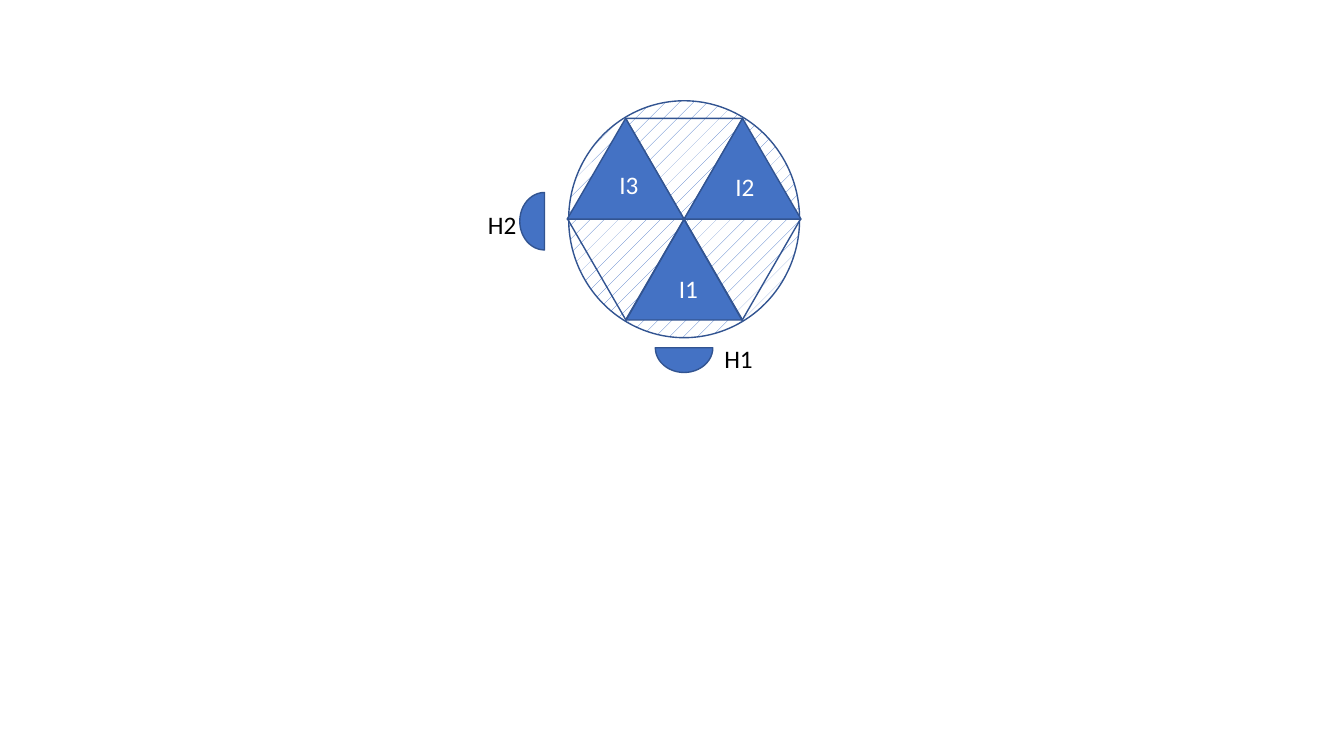
from math import cos, radians, sin

from pptx import Presentation
from pptx.dml.color import RGBColor
from pptx.enum.dml import MSO_PATTERN
from pptx.enum.shapes import MSO_SHAPE
from pptx.enum.text import MSO_AUTO_SIZE
from pptx.util import Inches, Pt

COLORS = {"blue": "4472C4", "outline": "325491", "white": "FFFFFF", "black": "000000"}
SIDE, HEIGHT = 1.16, 1.0
HALF_DISC = (0.57, 0.49)


def color(name):
    return RGBColor.from_string(COLORS[name])


def add_outlined(group, kind, center, size, rotation=0, filled=True):
    """Add an outlined preset shape around its centre point."""
    (x, y), (width, height) = center, size
    shape = group.shapes.add_shape(
        kind, Inches(x - width / 2), Inches(y - height / 2), Inches(width), Inches(height))
    shape.shadow.inherit = False
    shape.rotation = rotation
    shape.line.color.rgb = color("outline")
    shape.line.width = Pt(1)
    if filled:
        shape.fill.solid()
        shape.fill.fore_color.rgb = color("blue")
    else:
        shape.fill.background()
    return shape


def add_label(group, text, left, top, width, color_name):
    label = group.shapes.add_textbox(Inches(left), Inches(top), Inches(width), Inches(0.4))
    frame = label.text_frame
    frame.word_wrap = True
    frame.auto_size = MSO_AUTO_SIZE.SHAPE_TO_FIT_TEXT
    frame.text = text
    font = frame.paragraphs[0].runs[0].font
    font.name = "Calibri"
    font.size = Pt(18)
    font.color.rgb = color(color_name)


def add_wheel(group, left, top, width, height):
    """Draw the hatched disc with its hexagon of six triangles."""
    x, y = left + width / 2, top + height / 2
    disc = add_outlined(group, MSO_SHAPE.OVAL, (x, y), (width, height))
    disc.fill.patterned()
    disc.fill.pattern = MSO_PATTERN.PERCENT_5
    disc.fill.fore_color.rgb = color("blue")
    disc.fill.back_color.rgb = color("white")

    triangle = MSO_SHAPE.ISOSCELES_TRIANGLE
    for angle in (0, 60, 180, 300):
        turn = radians(angle)
        center = (x - sin(turn) * HEIGHT / 2, y + cos(turn) * HEIGHT / 2)
        add_outlined(group, triangle, center, (SIDE, HEIGHT), angle, filled=angle == 0)
    for side in (-1, 1):
        center = (x + side * SIDE / 2, y - HEIGHT / 2)
        add_outlined(group, triangle, center, (SIDE, HEIGHT))

    for text, dx, dy in (("I2", 0.41, -0.52), ("I1", -0.15, 0.49), ("I3", -0.74, -0.54)):
        add_label(group, text, x + dx, y + dy, 0.45, "white")


def add_heads(group, left, top, width, height):
    """Place the half discs H1 below and H2 to the left of the wheel's box."""
    x, y = left + width / 2, top + height / 2
    heads = (
        ("H1", (x, top + height + 0.1), 0, (0.3, -0.09)),
        ("H2", (left - 0.24, y + 0.02), 90, (-0.66, -0.17)),
    )
    for text, center, rotation, (dx, dy) in heads:
        half_disc = add_outlined(group, MSO_SHAPE.PIE, center, HALF_DISC, rotation)
        half_disc.adjustments[0] = 0
        half_disc.adjustments[1] = 108  # 180 degrees
        add_label(group, text, center[0] + dx, center[1] + dy, 0.59, "black")


def main():
    presentation = Presentation()
    presentation.slide_width = Inches(13.33)
    presentation.slide_height = Inches(7.5)
    slide = presentation.slides.add_slide(presentation.slide_layouts[6])
    group = slide.shapes.add_group_shape()
    wheel_box = (5.64, 1.0, 2.29, 2.35)
    add_wheel(group, *wheel_box)
    add_heads(group, *wheel_box)
    presentation.save("out.pptx")


if __name__ == "__main__":
    main()
